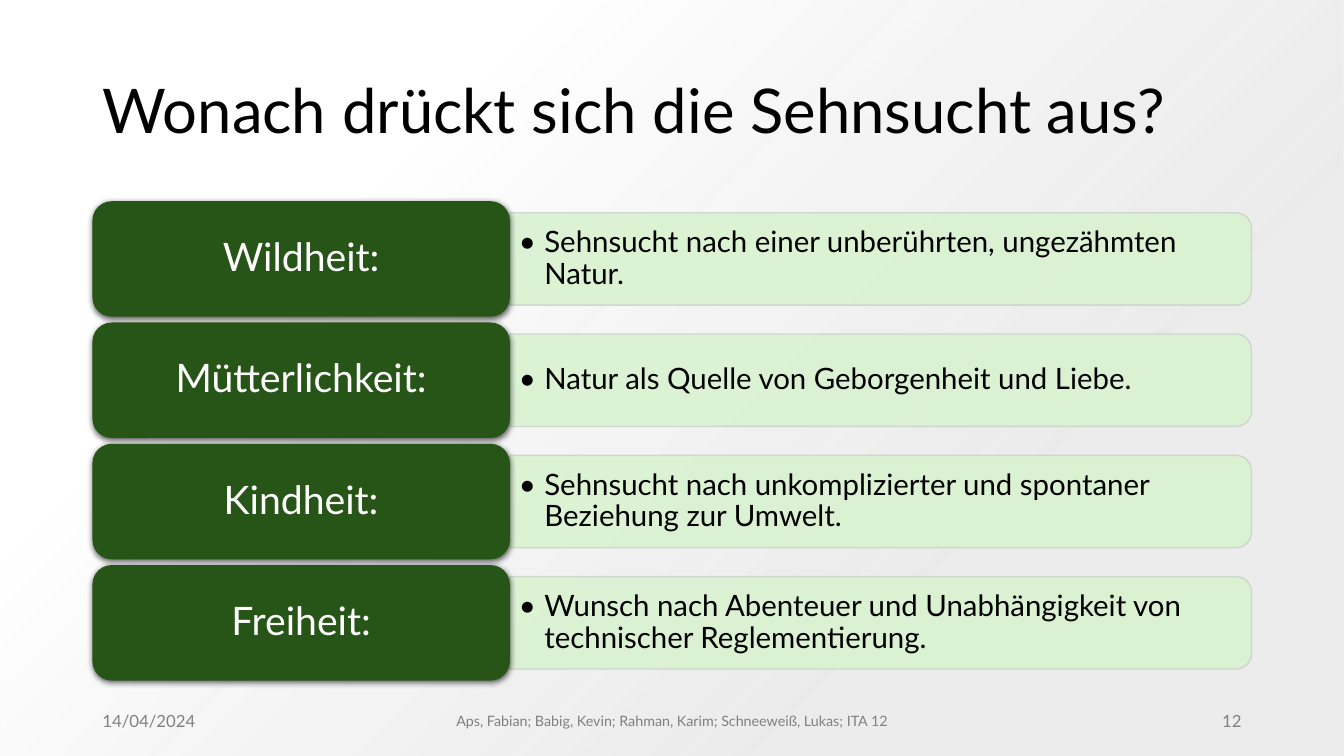
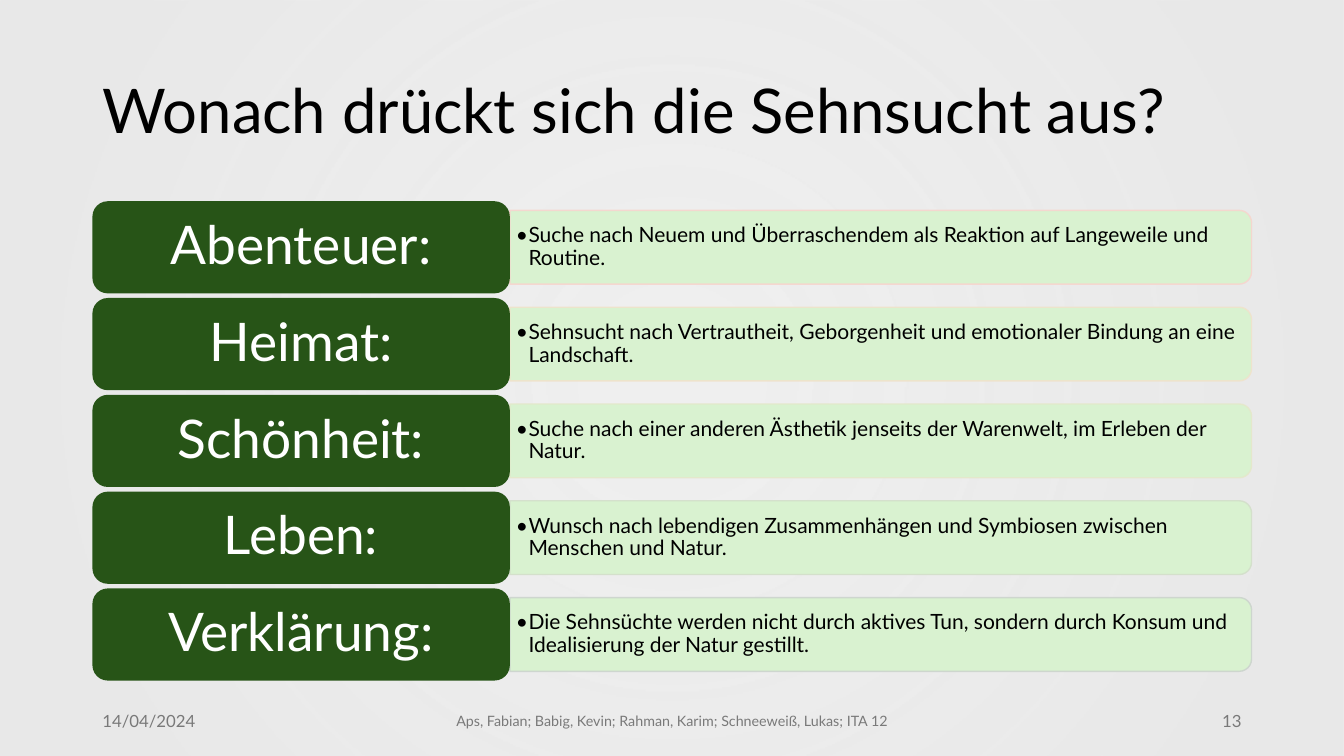
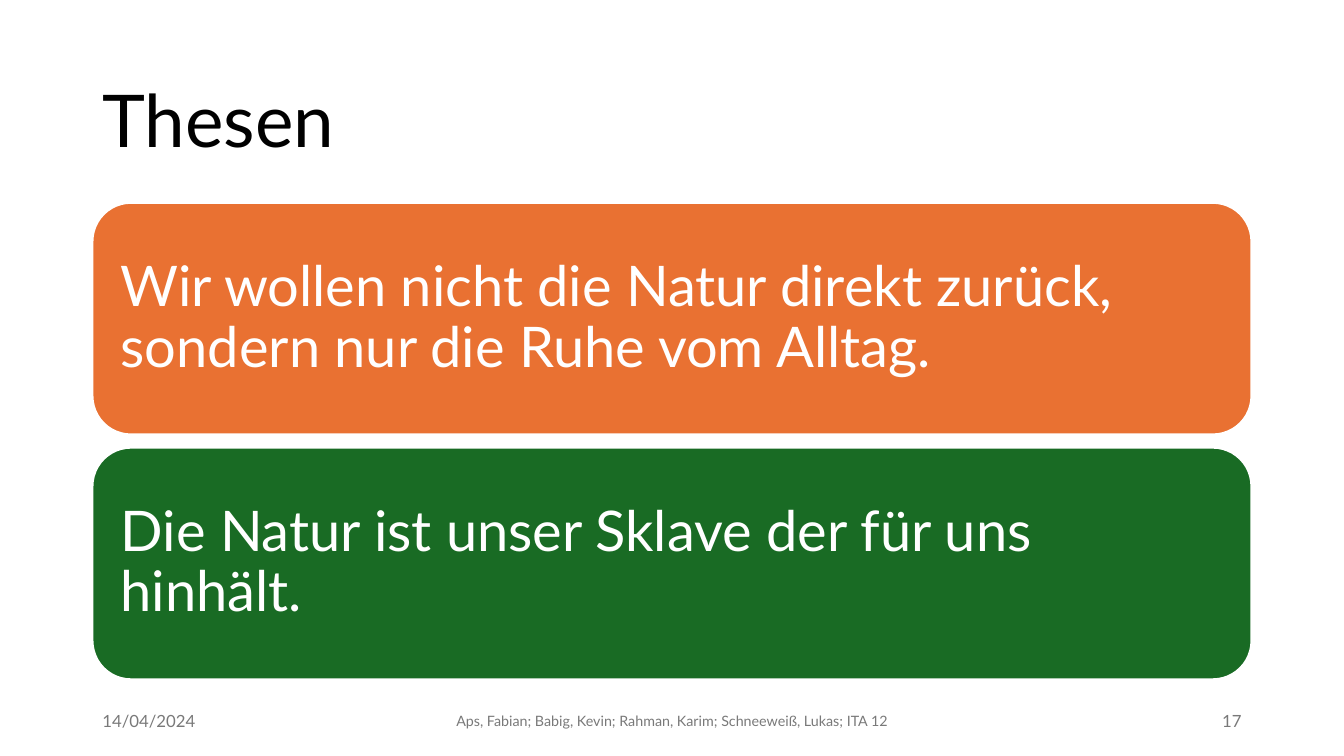
from pptx import Presentation
from pptx.dml.color import RGBColor
from pptx.enum.shapes import MSO_SHAPE as Shape
from pptx.enum.text import MSO_ANCHOR as Anchor, MSO_AUTO_SIZE as AutoSize, PP_ALIGN as Align
from pptx.oxml import parse_xml
from pptx.oxml.ns import nsdecls, qn
from pptx.util import Cm, Pt

FONT = "Lato"
BLACK = RGBColor(0x00, 0x00, 0x00)
WHITE = RGBColor(0xFF, 0xFF, 0xFF)
GRAY = RGBColor(0x80, 0x80, 0x80)
DARK_GRAY = RGBColor(0x79, 0x79, 0x79)
LIGHT_GRAY = RGBColor(0xE8, 0xE8, 0xE8)
DARK_GREEN = RGBColor(0x27, 0x54, 0x17)
GREEN = RGBColor(0x19, 0x6B, 0x24)
PALE_GREEN = RGBColor(0xD9, 0xF2, 0xD0)
ORANGE = RGBColor(0xE9, 0x71, 0x32)
EDGE_GREEN = RGBColor(0xCC, 0xD4, 0xCD)
EDGE_ROSE = RGBColor(0xF7, 0xD5, 0xCE)
EDGE_SAND = RGBColor(0xF0, 0xE3, 0xCB)
EDGE_LIME = RGBColor(0xE5, 0xE8, 0xCA)
EDGE_MOSS = RGBColor(0xD3, 0xDF, 0xCA)

# Shared layout, in centimetres
SLIDE_WIDTH, SLIDE_HEIGHT = 33.87, 19.05
LEFT, CONTENT_WIDTH = 2.33, 29.21
ROWS_TOP, ROWS_HEIGHT = 5.07, 12.08
LABEL_WIDTH, PANEL_WIDTH = 10.52, 18.69
PANEL_LEFT = LEFT + LABEL_WIDTH
FOOTER_TOP, FOOTER_HEIGHT = 17.66, 1.01
DATE = "14/04/2024"
AUTHORS = "Aps, Fabian; Babig, Kevin; Rahman, Karim; Schneeweiß, Lukas; ITA 12"
LONGING_TITLE = "Wonach drückt sich die Sehnsucht aus?"


def write(shape, text, size, color, align=Align.LEFT, margins=(0.25, 0.13), spacing=0.9, bullet_indent=None):
    frame = shape.text_frame
    frame.word_wrap = True
    frame.auto_size = AutoSize.NONE
    frame.vertical_anchor = Anchor.MIDDLE
    frame.margin_left = frame.margin_right = Cm(margins[0])
    frame.margin_top = frame.margin_bottom = Cm(margins[1])
    paragraph = frame.paragraphs[0]
    if bullet_indent:
        properties = paragraph._p.get_or_add_pPr()
        properties.set("marL", str(Cm(bullet_indent)))
        properties.set("indent", str(-Cm(bullet_indent)))
        properties.append(parse_xml(f'<a:buFont {nsdecls("a")} typeface="{FONT}"/>'))
        properties.append(parse_xml(f'<a:buChar {nsdecls("a")} char="•"/>'))
    paragraph.alignment = align
    paragraph.line_spacing = spacing
    run = paragraph.add_run()
    run.text = text
    run.font.name = FONT
    run.font.size = Pt(size)
    run.font.color.rgb = color


def add_filled(slide, kind, left, top, width, height, fill, edge=None, edge_width=1):
    shape = slide.shapes.add_shape(kind, Cm(left), Cm(top), Cm(width), Cm(height))
    shape.shadow.inherit = False
    shape.fill.solid()
    shape.fill.fore_color.rgb = fill
    if edge is None:
        shape.line.fill.background()
    else:
        shape.line.color.rgb = edge
        shape.line.width = Pt(edge_width)
    return shape


presentation = Presentation()
presentation.slide_width, presentation.slide_height = Cm(SLIDE_WIDTH), Cm(SLIDE_HEIGHT)
title_only = presentation.slide_layouts[5]

# Gradient: stops (position %, colour, opacity %) and focus rectangle (l, t, r, b in %)
pages = [
    dict(number="12", title=LONGING_TITLE, title_size=44, title_box=(1.02, 3.68), footer=GRAY,
         gradient=([(28, LIGHT_GRAY, 84), (74, WHITE, 100)], (100, 100, 0, 0)),
         label_size=28, label_margins=(0.45, 0.3), text_size=21, text_margins=(0.23, 0.1),
         indent=0.64, panel_opacity=90, label_shadow=True,
         rows=[
             ("Wildheit:", "Sehnsucht nach einer unberührten, ungezähmten Natur.", EDGE_GREEN),
             ("Mütterlichkeit:", "Natur als Quelle von Geborgenheit und Liebe.", EDGE_GREEN),
             ("Kindheit:", "Sehnsucht nach unkomplizierter und spontaner Beziehung zur Umwelt.", EDGE_GREEN),
             ("Freiheit:", "Wunsch nach Abenteuer und Unabhängigkeit von technischer Reglementierung.",
              EDGE_GREEN),
         ]),
    dict(number="13", title=LONGING_TITLE, title_size=44, title_box=(1.02, 3.68), footer=DARK_GRAY,
         gradient=([(10, LIGHT_GRAY, 68), (85, LIGHT_GRAY, 97)], (50, 50, 50, 50)),
         label_size=38, label_margins=(0.52, 0.3), text_size=15, text_margins=(0.15, 0.08),
         indent=0.32, panel_opacity=100, label_shadow=False,
         rows=[
             ("Abenteuer:", "Suche nach Neuem und Überraschendem als Reaktion auf Langeweile und Routine.",
              EDGE_ROSE),
             ("Heimat:", "Sehnsucht nach Vertrautheit, Geborgenheit und emotionaler Bindung an eine "
              "Landschaft.", EDGE_SAND),
             ("Schönheit:", "Suche nach einer anderen Ästhetik jenseits der Warenwelt, im Erleben der Natur.",
              EDGE_LIME),
             ("Leben:", "Wunsch nach lebendigen Zusammenhängen und Symbiosen zwischen Menschen und Natur.",
              EDGE_MOSS),
             ("Verklärung:", "Die Sehnsüchte werden nicht durch aktives Tun, sondern durch Konsum und "
              "Idealisierung der Natur gestillt.", EDGE_GREEN),
         ]),
    dict(number="17", title="Thesen", title_size=52, title_box=(1.55, 3.15), footer=DARK_GRAY,
         theses=[
             ("Wir wollen nicht die Natur direkt zurück, sondern nur die Ruhe vom Alltag.", ORANGE),
             ("Die Natur ist unser Sklave der für uns hinhält.", GREEN),
         ]),
]

for page in pages:
    slide = presentation.slides.add_slide(title_only)
    title = slide.shapes.title

    # Background gradient, placed behind the title
    if "gradient" in page:
        stops, focus = page["gradient"]
        backdrop = add_filled(slide, Shape.RECTANGLE, 0, 0, SLIDE_WIDTH, SLIDE_HEIGHT, WHITE)
        stop_xml = "".join(
            f'<a:gs pos="{position * 1000}"><a:srgbClr val="{color}">'
            f'<a:alpha val="{opacity * 1000}"/></a:srgbClr></a:gs>'
            for position, color, opacity in stops)
        focus_xml = " ".join(f'{side}="{value * 1000}"' for side, value in zip("ltrb", focus))
        properties = backdrop._element.spPr
        properties.replace(properties.find(qn("a:solidFill")), parse_xml(
            f'<a:gradFill {nsdecls("a")} rotWithShape="1"><a:gsLst>{stop_xml}</a:gsLst>'
            f'<a:path path="circle"><a:fillToRect {focus_xml}/></a:path></a:gradFill>'))
        title._element.addprevious(backdrop._element)

    # Title
    title_top, title_height = page["title_box"]
    title.left, title.top = Cm(LEFT), Cm(title_top)
    title.width, title.height = Cm(CONTENT_WIDTH), Cm(title_height)
    write(title, page["title"], page["title_size"], BLACK)

    # Footer: date, authors, page number
    for text, left, width, size, align in [
        (DATE, LEFT, 7.62, 12, Align.LEFT),
        (AUTHORS, 11.22, 11.43, 10.2, Align.CENTER),
        (page["number"], 23.92, 7.62, 12, Align.RIGHT),
    ]:
        footer = slide.shapes.add_textbox(Cm(left), Cm(FOOTER_TOP), Cm(width), Cm(FOOTER_HEIGHT))
        write(footer, text, size, page["footer"], align, spacing=1.0)

    # Rows: label on the left, panel with explanation on the right
    rows = page.get("rows", [])
    row_height = ROWS_HEIGHT / (1.05 * len(rows) - 0.05) if rows else 0
    panel_height = 0.8 * row_height
    for index, (label_text, explanation, edge) in enumerate(rows):
        row_top = ROWS_TOP + index * 1.05 * row_height
        middle = row_top + row_height / 2

        # The panel stands upright before it is turned by 90 degrees
        panel = add_filled(slide, Shape.ROUND_2_SAME_RECTANGLE,
                           PANEL_LEFT + (PANEL_WIDTH - panel_height) / 2, middle - PANEL_WIDTH / 2,
                           panel_height, PANEL_WIDTH, PALE_GREEN, edge)
        panel.rotation = 90
        properties = panel._element.spPr
        for target, opacity in [("a:solidFill", page["panel_opacity"]), ("a:ln/a:solidFill", 90)]:
            fill = properties.find("/".join(qn(tag) for tag in target.split("/")))
            fill[0].append(parse_xml(f'<a:alpha {nsdecls("a")} val="{opacity * 1000}"/>'))

        text_box = slide.shapes.add_textbox(Cm(PANEL_LEFT), Cm(middle - panel_height / 2),
                                            Cm(PANEL_WIDTH - 0.1), Cm(panel_height))
        write(text_box, explanation, page["text_size"], BLACK, margins=page["text_margins"],
              bullet_indent=page["indent"])

        label = add_filled(slide, Shape.ROUNDED_RECTANGLE, LEFT, row_top, LABEL_WIDTH, row_height, DARK_GREEN)
        write(label, label_text, page["label_size"], WHITE, Align.CENTER, page["label_margins"])
        if page["label_shadow"]:
            label._element.spPr.find(qn("a:effectLst")).append(parse_xml(
                f'<a:outerShdw {nsdecls("a")} blurRad="{Pt(4.5)}" dist="{Pt(1.5)}" dir="5400000" '
                'algn="ctr" rotWithShape="0"><a:srgbClr val="000000"><a:alpha val="63000"/>'
                '</a:srgbClr></a:outerShdw>'))

    # Theses
    for index, (text, color) in enumerate(page.get("theses", [])):
        thesis = add_filled(slide, Shape.ROUNDED_RECTANGLE, LEFT, 5.11 + index * 6.17,
                            CONTENT_WIDTH, 5.84, color, WHITE, 1.5)
        write(thesis, text, 40, WHITE, margins=(0.43, 0.43))

presentation.save("out.pptx")
